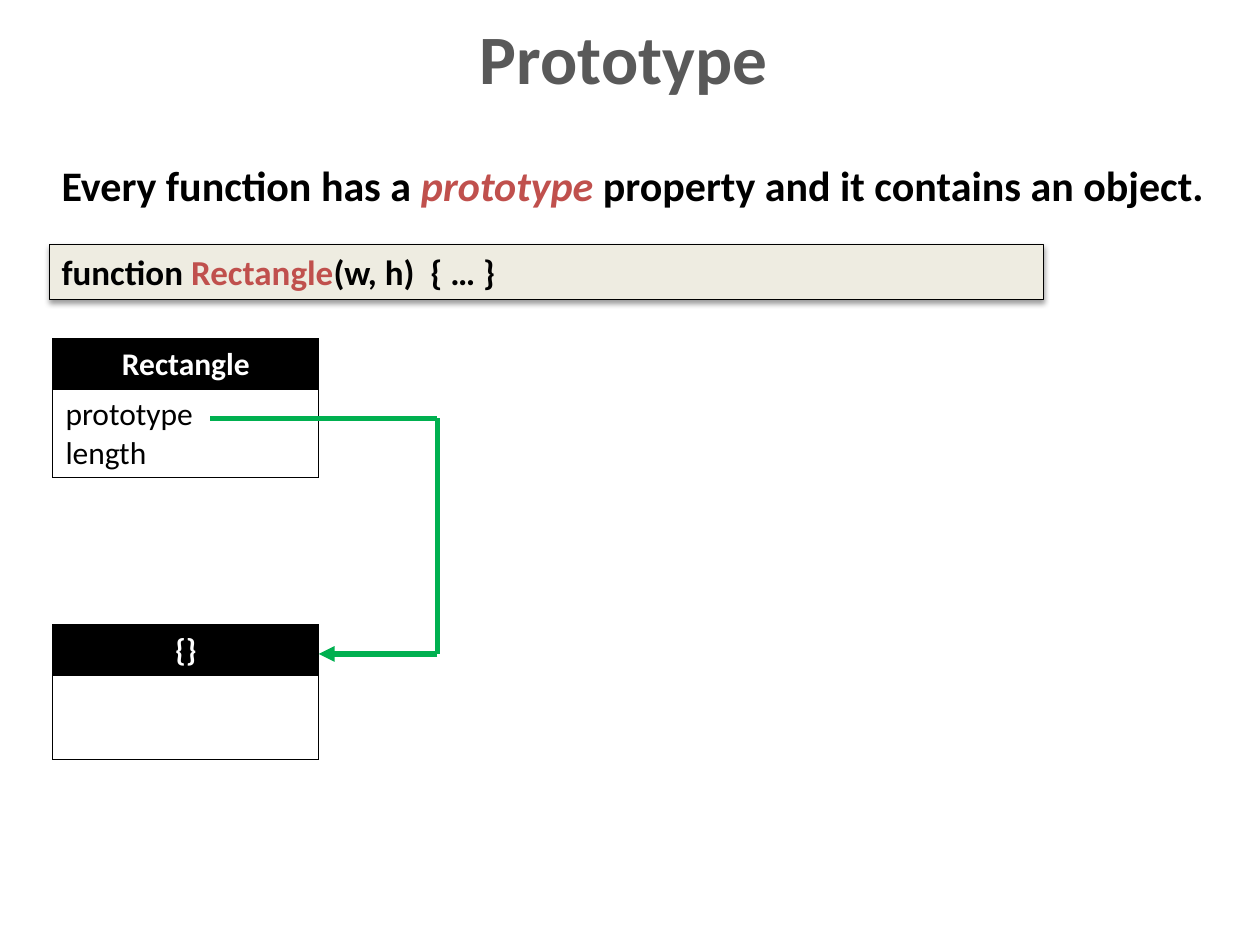
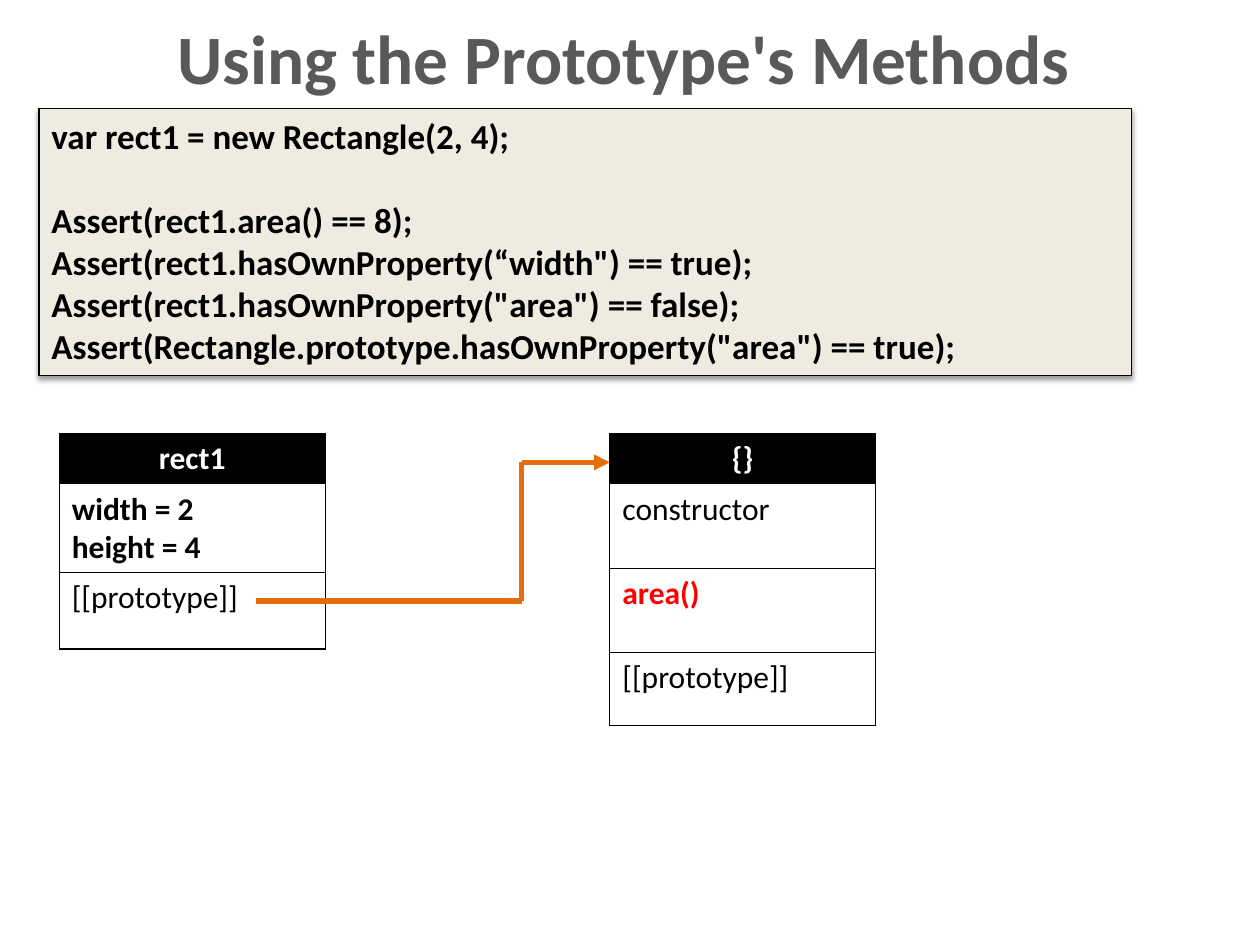
import itertools

import lxml.etree
import pptx
import pptx.dml.color
import pptx.enum.shapes
import pptx.enum.text
import pptx.oxml.ns
import pptx.util

Inches = pptx.util.Inches
Pt = pptx.util.Pt
PP_ALIGN = pptx.enum.text.PP_ALIGN
MSO_ANCHOR = pptx.enum.text.MSO_ANCHOR
qn = pptx.oxml.ns.qn

# Shared look
FONT = "Calibri"
BLACK, WHITE = "000000", "FFFFFF"
TITLE_GRAY, CODE_FILL = "595959", "EEECE1"
ACCENT, RED = "C0504D", "FF0000"
GREEN, ORANGE = "00B050", "E46C0A"
TITLE_BOX = (0.7, 0.16, 8.5, 0.58)
OBJECT_WIDTH, HEADER_HEIGHT = 2.11, 0.4


def rgb(value):
    return pptx.dml.color.RGBColor.from_string(value)


def sub(parent, tag, **attributes):
    """Add an XML child with the given attributes."""
    return lxml.etree.SubElement(parent, qn(tag), attributes)


def write(p, text, size=18, color=BLACK, bold=False, italic=False):
    """Append one formatted run to a paragraph."""
    r = p.add_run()
    r.text = text
    r.font.name, r.font.size = FONT, Pt(size)
    r.font.bold, r.font.italic = bold, italic
    r.font.color.rgb = rgb(color)


def paragraphs(tf, count):
    """Return the first paragraph and as many more as are needed."""
    return [tf.paragraphs[0]] + [tf.add_paragraph() for _ in range(count - 1)]


def add_text_box(s, box, anchor=MSO_ANCHOR.TOP):
    tf = s.shapes.add_textbox(*map(Inches, box)).text_frame
    tf.word_wrap = True
    tf.vertical_anchor = anchor
    return tf


def add_titled_slide(prs, title):
    s = prs.slides.add_slide(prs.slide_layouts[6])
    p = add_text_box(s, TITLE_BOX, MSO_ANCHOR.MIDDLE).paragraphs[0]
    p.alignment = PP_ALIGN.CENTER
    write(p, title, size=39.6, color=TITLE_GRAY, bold=True)
    return s


def add_statement(s, box, runs):
    p = add_text_box(s, box).paragraphs[0]
    p.line_spacing = 1.5
    for text, style in runs:
        write(p, text, size=24, bold=True, **style)


def add_code_box(s, box, blocks):
    """Draw a code panel; blocks of lines are set apart by one line's height."""
    sp = s.shapes.add_shape(pptx.enum.shapes.MSO_SHAPE.RECTANGLE, *map(Inches, box))
    sp.fill.solid()
    sp.fill.fore_color.rgb = rgb(CODE_FILL)
    sp.line.color.rgb = rgb(BLACK)
    sp.line.width = Pt(0.75)

    # Soft shadow straight below
    effects = sub(sp._element.spPr, "a:effectLst")
    shadow = sub(effects, "a:outerShdw", blurRad=str(Pt(3.1)), dist=str(Pt(1.6)),
                 dir="5400000", rotWithShape="0")
    color = sub(shadow, "a:srgbClr", val=BLACK)
    sub(color, "a:alpha", val="38000")

    tf = sp.text_frame
    tf.word_wrap = True
    tf.vertical_anchor = MSO_ANCHOR.TOP
    lines = [(runs, i > 0 and j == 0)
             for i, block in enumerate(blocks) for j, runs in enumerate(block)]
    for p, (runs, new_block) in zip(paragraphs(tf, len(lines)), lines):
        p.alignment = PP_ALIGN.LEFT
        if new_block:
            p.space_before = Pt(24)
        for text, style in runs:
            write(p, text, size=20, bold=True, **style)


def format_cell(cell, fill):
    cell.fill.solid()
    cell.fill.fore_color.rgb = rgb(fill)
    tcPr = cell._tc.get_or_add_tcPr()
    for i, side in enumerate(("a:lnL", "a:lnR", "a:lnT", "a:lnB")):
        ln = sub(tcPr, side, w=str(Pt(0.75)))
        sub(sub(ln, "a:solidFill"), "a:srgbClr", val=BLACK)
        tcPr.insert(i, ln)  # borders come before the fill


def add_object_table(s, left, top, name, sections):
    """Draw an object: its name, then sections of (height, lines, style)."""
    heights = [HEADER_HEIGHT] + [height for height, _, _ in sections]
    frame = s.shapes.add_table(len(heights), 1, Inches(left), Inches(top),
                               Inches(OBJECT_WIDTH), Inches(sum(heights)))
    table = frame.table
    table.first_row = table.horz_banding = False
    for row, height in zip(table.rows, heights):
        row.height = Inches(height)

    header = table.cell(0, 0)
    format_cell(header, BLACK)
    p = header.text_frame.paragraphs[0]
    p.alignment = PP_ALIGN.CENTER
    write(p, name, color=WHITE, bold=True)

    for i, (_, lines, style) in enumerate(sections, start=1):
        cell = table.cell(i, 0)
        format_cell(cell, WHITE)
        for p, text in zip(paragraphs(cell.text_frame, len(lines)), lines):
            write(p, text, **style)


def add_route(s, points, color):
    """Join the points by straight lines, with an arrowhead at the last one."""
    for start, end in itertools.pairwise(points):
        line = s.shapes.add_connector(pptx.enum.shapes.MSO_CONNECTOR.STRAIGHT,
                                      *map(Inches, start + end))
        line.line.color.rgb = rgb(color)
        line.line.width = Pt(3)
        if end == points[-1]:
            sub(line.line._get_or_add_ln(), "a:tailEnd", type="triangle")
        sub(line._element.spPr, "a:effectLst")


def build_prototype(prs):
    s = add_titled_slide(prs, "Prototype")
    add_statement(s, (0.39, 1.02, 9.38, 0.64), [
        ("Every function has a ", {}),
        ("prototype", {"color": ACCENT, "italic": True}),
        (" property and it contains an object.", {}),
    ])
    add_code_box(s, (0.39, 1.94, 7.89, 0.44), [[
        [("function ", {}), ("Rectangle", {"color": ACCENT}), ("(w, h)  { … }", {})],
    ]])

    # Constructor above its prototype object
    left, function_top, object_top = 0.42, 2.69, 4.96
    add_object_table(s, left, function_top, "Rectangle",
                     [(0.7, ["prototype", "length"], {})])
    add_object_table(s, left, object_top, "{}", [(0.67, [], {})])

    right = left + OBJECT_WIDTH
    bend, y1, y2 = right + 0.94, function_top + 0.63, object_top + 0.23
    add_route(s, [(left + 1.25, y1), (bend, y1), (bend, y2), (right, y2)], GREEN)


def build_methods(prs):
    s = add_titled_slide(prs, "Using the Prototype's Methods")
    code = [
        ["var rect1 = new Rectangle(2, 4);"],
        ["Assert(rect1.area() == 8);",
         "Assert(rect1.hasOwnProperty(“width\") == true);",
         "Assert(rect1.hasOwnProperty(\"area\") == false);",
         "Assert(Rectangle.prototype.hasOwnProperty(\"area\") == true);"],
    ]
    add_code_box(s, (0.31, 0.86, 8.67, 2.12),
                 [[[(line, {})] for line in block] for block in code])

    # Instance beside its prototype object
    instance_left, object_left, top = 0.47, 4.84, 3.44
    add_object_table(s, instance_left, top, "rect1", [
        (0.7, ["width = 2", "height = 4"], {"bold": True}),
        (0.61, ["[[prototype]]"], {}),
    ])
    add_object_table(s, object_left, top, "{}", [
        (0.67, ["constructor"], {}),
        (0.67, ["area()"], {"color": RED, "bold": True}),
        (0.58, ["[[prototype]]"], {}),
    ])

    bend, y1, y2 = object_left - 0.7, top + 1.33, top + 0.23
    add_route(s, [(instance_left + 1.56, y1), (bend, y1), (bend, y2),
                  (object_left, y2)], ORANGE)


def main():
    prs = pptx.Presentation()
    prs.slide_width, prs.slide_height = Inches(10), Inches(7.5)
    build_prototype(prs)
    build_methods(prs)
    prs.save("out.pptx")


if __name__ == "__main__":
    main()
